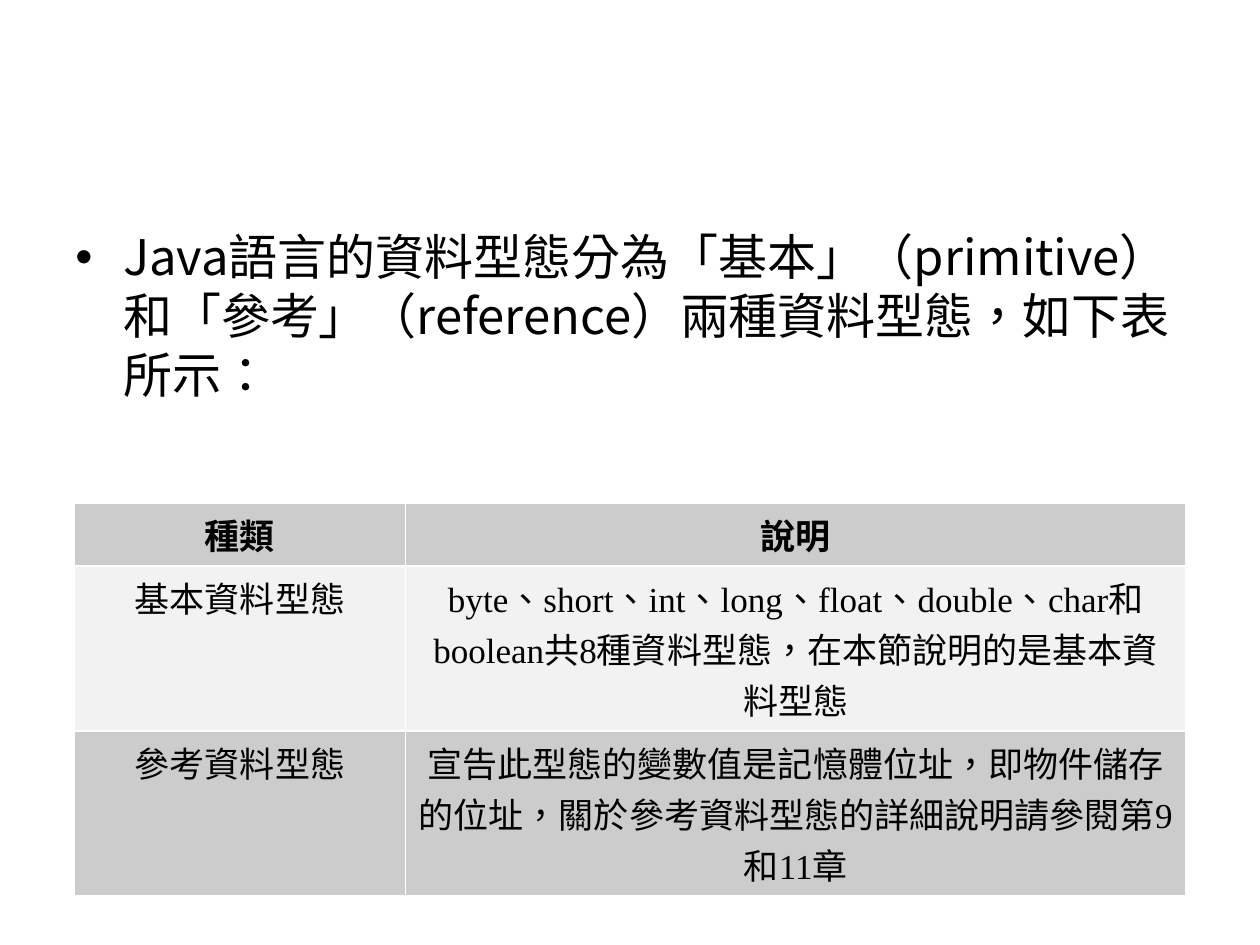
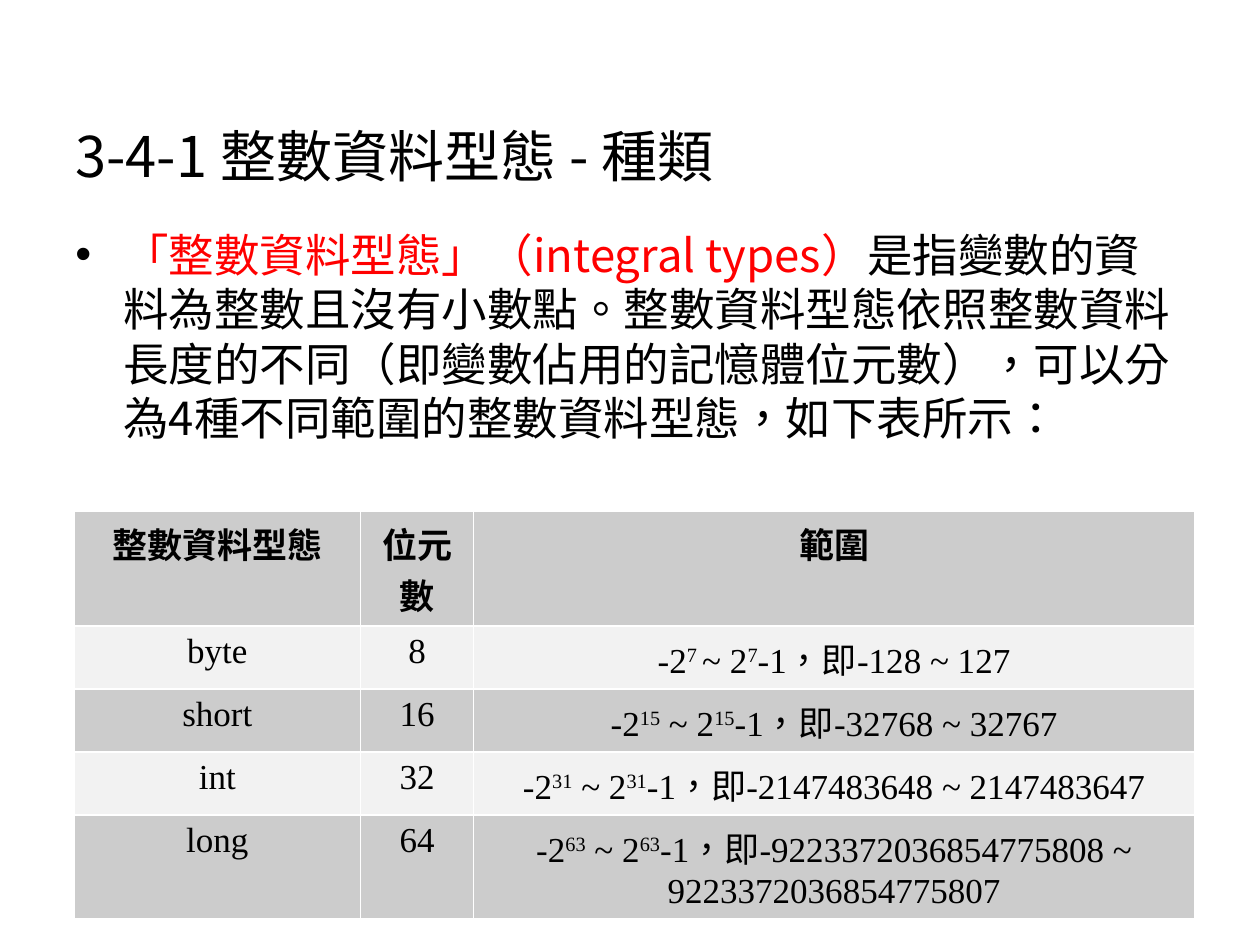
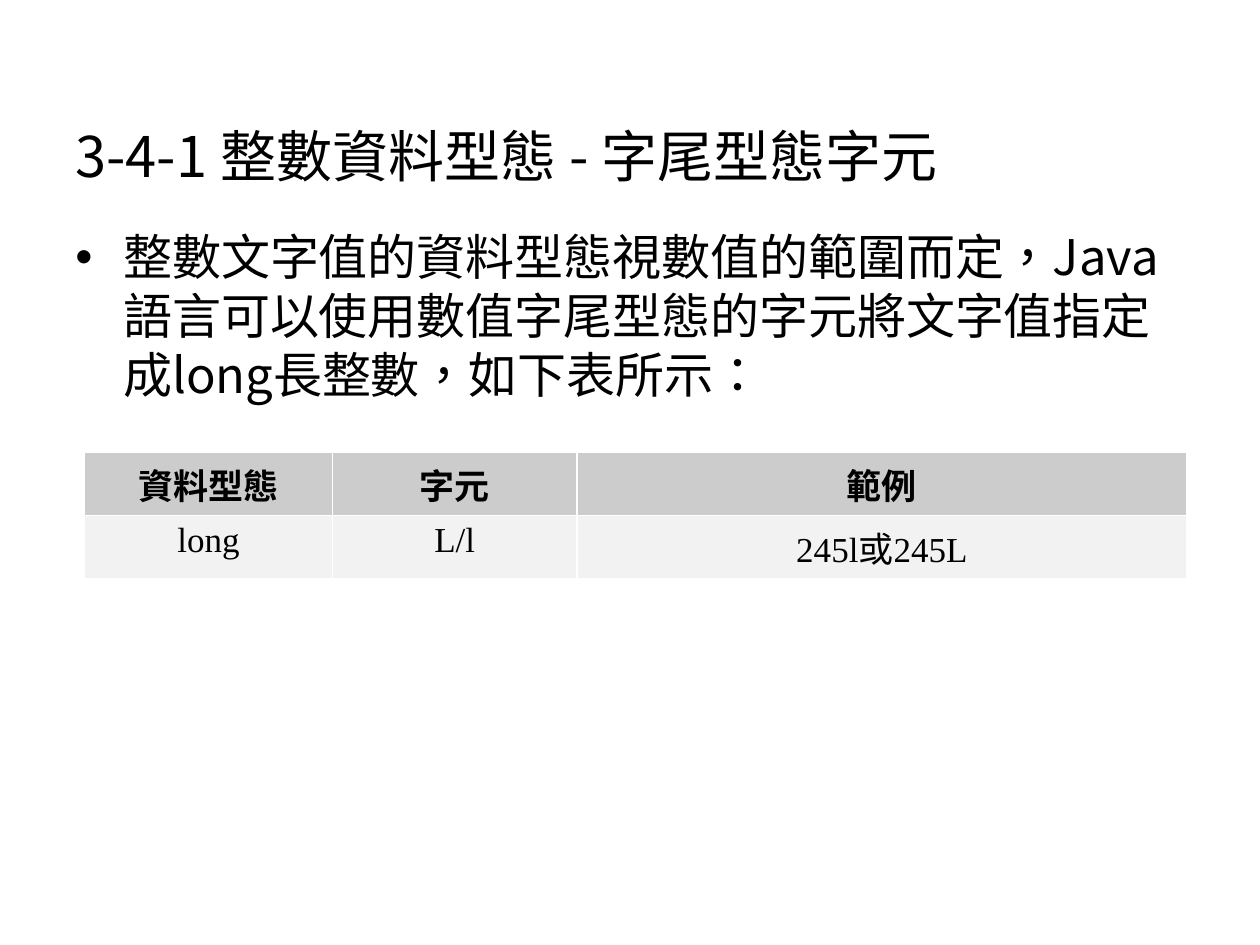
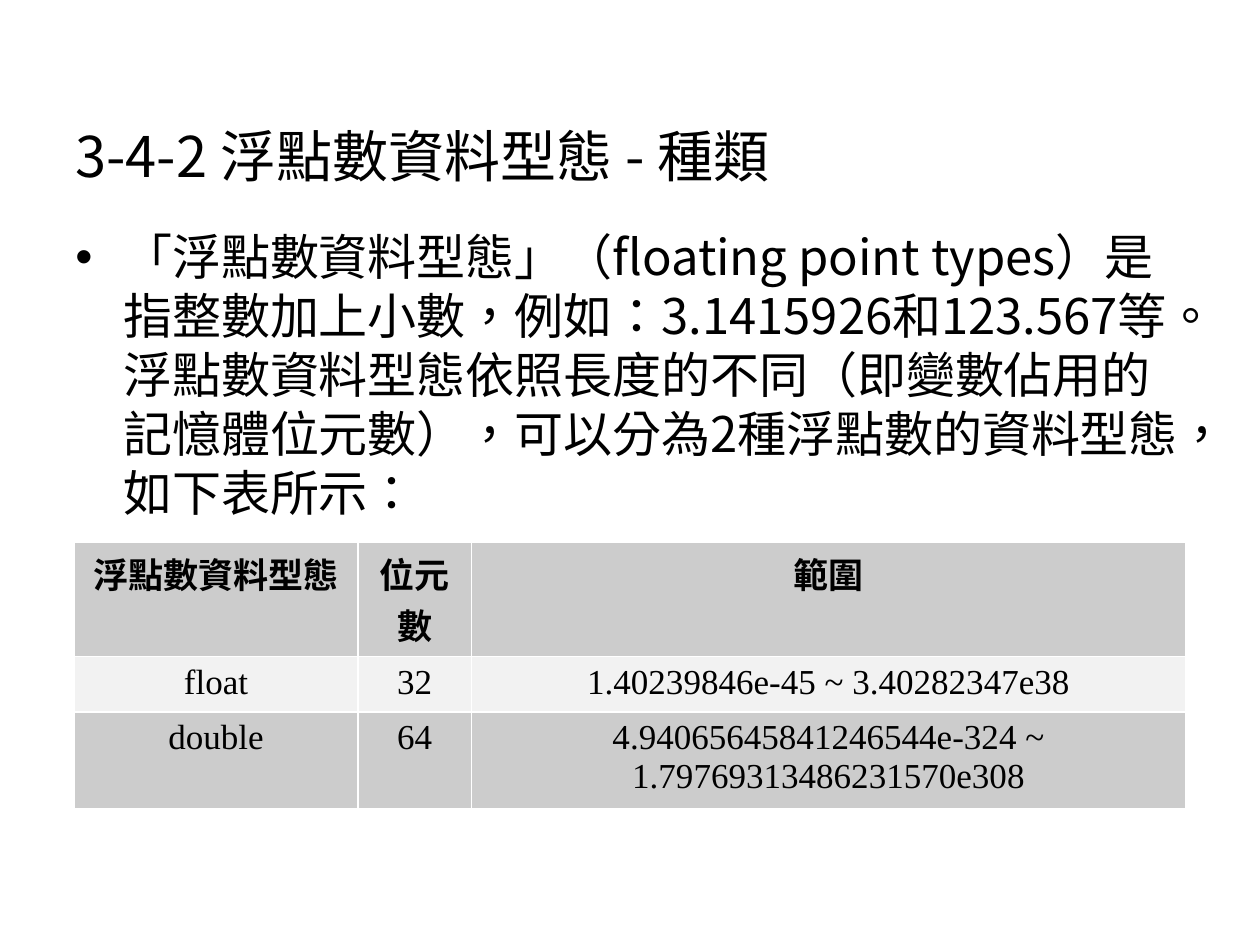
from dataclasses import dataclass

from pptx import Presentation
from pptx.dml.color import RGBColor as RGB
from pptx.enum.text import MSO_ANCHOR as Anchor, PP_ALIGN as Align
from pptx.oxml.ns import qn
from pptx.util import Inches, Pt
from lxml.etree import SubElement as Sub


@dataclass(frozen=True)
class Theme:
    sans: str = "Noto Sans CJK SC"
    serif: str = "Times New Roman"
    ink: str = "000000"
    red: str = "FF0000"
    band: str = "CCCCCC"
    pale: str = "F2F2F2"
    rule: str = "FFFFFF"
    rule_pt: float = 0.96
    title: int = 32
    body: int = 28
    small: int = 26
    cell: int = 20


T = Theme()


def add_run(para, text, size, face=T.sans, color=T.ink, bold=False, sup=False):
    run = para.add_run()
    run.text = text
    font = run.font
    font.size, font.name, font.bold = Pt(size), face, bold
    font.color.rgb = RGB.from_string(color)
    props = font._element
    props.set("lang", "zh-TW")
    if sup:
        props.set("baseline", "30000")
    Sub(props, qn("a:ea")).set("typeface", T.sans)


def add_box(slide, top, high, anchor=Anchor.TOP):
    """Add a full-width text box and return its first paragraph."""
    box = slide.shapes.add_textbox(Inches(0.5), Inches(top), Inches(9), Inches(high))
    frame = box.text_frame
    frame.word_wrap = True
    frame.vertical_anchor = anchor
    return frame.paragraphs[0]


def add_title(slide, text):
    add_run(add_box(slide, 0.3, 1.25, Anchor.BOTTOM), text, T.title)


def add_bullet(slide, parts, size=T.body):
    """Add the bulleted text; parts are (text, color) pairs."""
    para = add_box(slide, 1.75, 4.95)
    para.space_before = Pt(size / 4)
    props = para._p.get_or_add_pPr()
    props.set("marL", str(Inches(0.38)))
    props.set("indent", str(-Inches(0.38)))
    tint = Sub(Sub(props, qn("a:buClr")), qn("a:srgbClr"))
    tint.set("val", T.ink)
    Sub(props, qn("a:buFont")).set("typeface", "Arial")
    Sub(props, qn("a:buChar")).set("char", "•")
    for text, color in parts:
        add_run(para, text, size, color=color)


def add_rules(cell, sides):
    """Draw the thin white rules on the given sides of a cell."""
    props = cell._tc.get_or_add_tcPr()
    for at, side in enumerate(sides):
        line = props.makeelement(qn(f"a:ln{side}"), {"w": str(Pt(T.rule_pt))})
        fill = Sub(line, qn("a:solidFill"))
        Sub(fill, qn("a:srgbClr")).set("val", T.rule)
        props.insert(at, line)


def add_grid(slide, left, top, cols, highs, rows):
    """Add a banded table; a cell is a text or a list of (text, sup) pairs."""
    grid = slide.shapes.add_table(
        len(rows), len(cols), Inches(left), Inches(top),
        Inches(sum(cols)), Inches(sum(highs))).table
    for col, wide in zip(grid.columns, cols):
        col.width = Inches(wide)
    for row, high in zip(grid.rows, highs):
        row.height = Inches(high)
    for r, row in enumerate(rows):
        for c, item in enumerate(row):
            cell = grid.cell(r, c)
            cell.fill.solid()
            cell.fill.fore_color.rgb = RGB.from_string(T.pale if r % 2 else T.band)
            inner = {"L": c > 0, "R": c < len(cols) - 1,
                     "T": r > 0, "B": r < len(rows) - 1}
            add_rules(cell, [side for side, on in inner.items() if on])
            para = cell.text_frame.paragraphs[0]
            para.alignment = Align.CENTER
            parts = [(item, False)] if isinstance(item, str) else item
            for text, sup in parts:
                add_run(para, text, T.cell, T.serif, bold=r == 0, sup=sup)


def powers(exp, low, high, gap=False):
    """Give a signed range, exponents raised; gap raises the first space too."""
    first, mid = (exp + " ", "~ 2") if gap else (exp, " ~ 2")
    return [("-2", False), (first, True), (mid, False), (exp, True),
            (f"-1，即{low} ~ {high}", False)]


def kinds(slide):
    add_bullet(slide, [(
        "Java語言的資料型態分為「基本」（primitive）和「參考」（reference）"
        "兩種資料型態，如下表所示：", T.ink)])
    add_grid(slide, 0.59, 3.99, [2.63, 6.19], [0.5, 1.31, 1.31], [
        ["種類", "說明"],
        ["基本資料型態", "byte、short、int、long、float、double、char和boolean"
                   "共8種資料型態，在本節說明的是基本資料型態"],
        ["參考資料型態", "宣告此型態的變數值是記憶體位址，即物件儲存的位址，"
                   "關於參考資料型態的詳細說明請參閱第9和11章"],
    ])


def whole(slide):
    add_title(slide, "3-4-1 整數資料型態 - 種類")
    add_bullet(slide, [
        ("「整數資料型態」（integral types）", T.red),
        ("是指變數的資料為整數且沒有小數點。整數資料型態依照整數資料長度的不同"
         "（即變數佔用的記憶體位元數），可以分為4種不同範圍的整數資料型態，"
         "如下表所示：", T.ink)], T.small)
    add_grid(slide, 0.59, 4.06, [2.27, 0.9, 5.72], [0.91, 0.5, 0.5, 0.5, 0.82], [
        ["整數資料型態", "位元數", "範圍"],
        ["byte", "8", powers("7", "-128", "127", gap=True)],
        ["short", "16", powers("15", "-32768", "32767")],
        ["int", "32", powers("31", "-2147483648", "2147483647")],
        ["long", "64", powers("63", "-9223372036854775808", "9223372036854775807")],
    ])


def suffix(slide):
    add_title(slide, "3-4-1 整數資料型態 - 字尾型態字元")
    add_bullet(slide, [(
        "整數文字值的資料型態視數值的範圍而定，Java語言可以使用數值字尾型態的字元"
        "將文字值指定成long長整數，如下表所示：", T.ink)])
    add_grid(slide, 0.67, 3.59, [1.97, 1.94, 4.84], [0.5, 0.5], [
        ["資料型態", "字元", "範例"],
        ["long", "L/l", "245l或245L"],
    ])


def floats(slide):
    add_title(slide, "3-4-2 浮點數資料型態 - 種類")
    add_bullet(slide, [(
        "「浮點數資料型態」（floating point types）是指整數加上小數，"
        "例如：3.1415926和123.567等。浮點數資料型態依照長度的不同"
        "（即變數佔用的記憶體位元數），可以分為2種浮點數的資料型態，"
        "如下表所示：", T.ink)])
    add_grid(slide, 0.59, 4.3, [2.25, 0.9, 5.67], [0.91, 0.44, 0.77], [
        ["浮點數資料型態", "位元數", "範圍"],
        ["float", "32", "1.40239846e-45 ~ 3.40282347e38"],
        ["double", "64", "4.94065645841246544e-324 ~ 1.79769313486231570e308"],
    ])


def main():
    deck = Presentation()
    deck.slide_width, deck.slide_height = Inches(10), Inches(7.5)
    for build in (kinds, whole, suffix, floats):
        build(deck.slides.add_slide(deck.slide_layouts[6]))
    deck.save("out.pptx")


if __name__ == "__main__":
    main()
